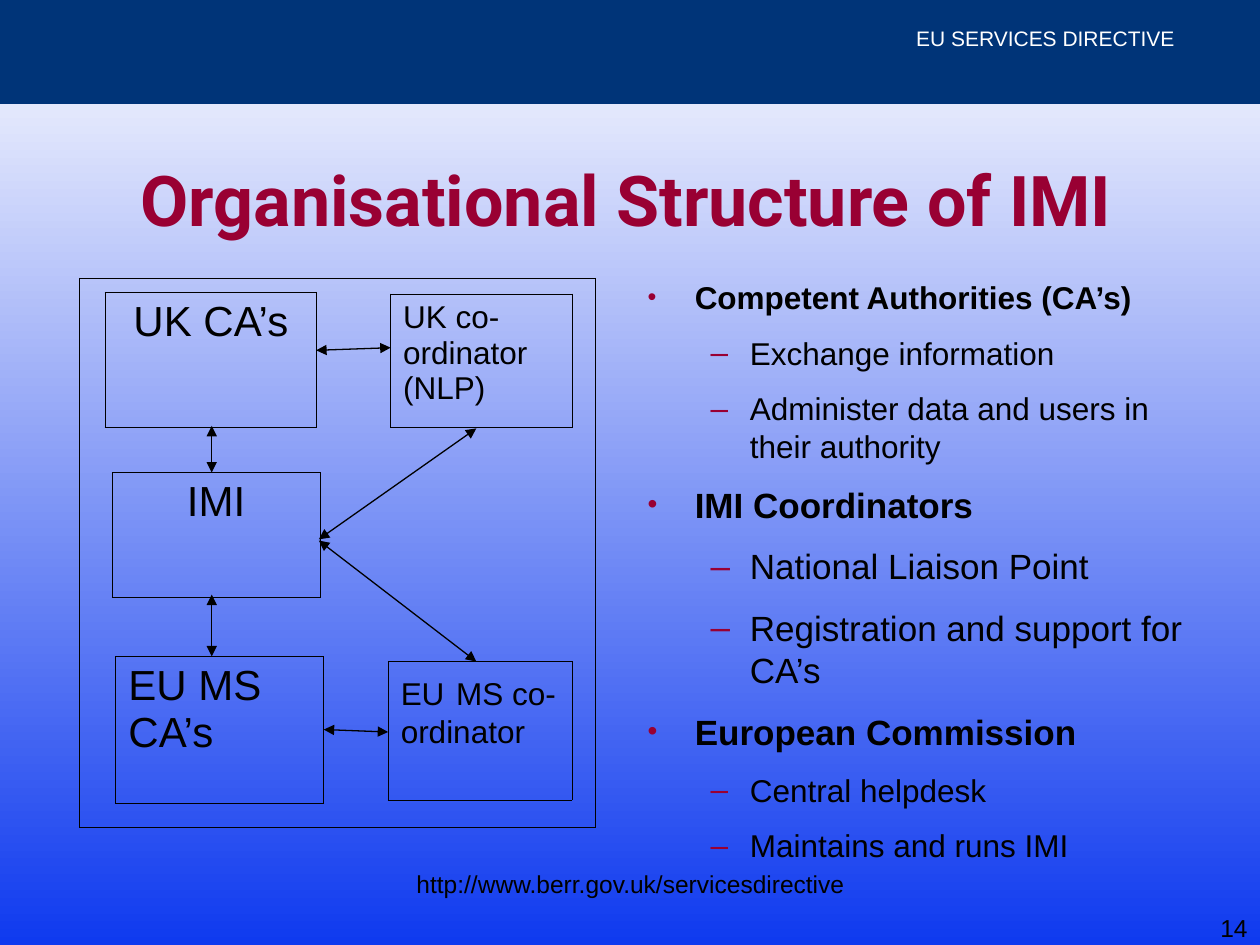
from lxml.etree import SubElement
from pptx import Presentation
from pptx.dml.color import RGBColor
from pptx.enum.shapes import MSO_CONNECTOR as LINK, MSO_SHAPE as SHAPE
from pptx.enum.text import MSO_ANCHOR as ANCHOR, PP_ALIGN as ALIGN
from pptx.oxml.ns import qn
from pptx.util import Pt

COLORS = {"navy": "003478", "red": "990033", "black": "000000",
          "white": "FFFFFF", "top": "FEFEFE", "base": "0F3AEF"}

# Each box: left, top, width, height, runs of (text, size), centred
BOXES = [
    (60, 167, 121, 77, [("UK CA’s", 24)], True),
    (64.1, 270, 118.8, 71.3, [("IMI", 24)], True),
    (66.2, 375.1, 118.8, 84.2, [("EU MS CA’s", 24)], False),
    (223.2, 168, 103.7, 76.3, [("UK co-ordinator (NLP)", 18)], False),
    (221.8, 378, 105.1, 79.2,
     [("EU", 18), (" ", 24), ("MS co-ordinator", 18)], False),
]

# Each arrow: start x, start y, end x, end y
ARROWS = [
    (272.2, 378, 182.2, 308.9),
    (182.2, 308.2, 272.2, 244.8),
    (121, 375.1, 121, 339.8),
    (121, 270, 121, 243.4),
    (223.2, 198.7, 180.7, 200.2),
    (221.8, 418.3, 185, 416.9),
]

# Each group: heading, heading size, sub-item size, sub-items
ROLES = [
    ("Competent Authorities (CA’s)", 18, 18,
     ["Exchange information", "Administer data and users in their authority"]),
    ("IMI Coordinators", 20, 20,
     ["National Liaison Point", "Registration and support for CA’s"]),
    ("European Commission", 20, 18,
     ["Central helpdesk", "Maintains and runs IMI"]),
]


def rgb(name):
    return RGBColor.from_string(COLORS[name])


def write(par, text, size=18, color="black", font="Arial", bold=False,
          align=ALIGN.LEFT):
    """Append one formatted run to a paragraph."""
    par.alignment = align
    run = par.add_run()
    run.text = text
    run.font.size = Pt(size)
    run.font.name = font
    run.font.bold = bold
    run.font.color.rgb = rgb(color)


def add_frame(slide, left, top, width, height, inset=True):
    box = slide.shapes.add_textbox(Pt(left), Pt(top), Pt(width), Pt(height))
    frame = box.text_frame
    frame.word_wrap = True
    if not inset:
        frame.margin_left = frame.margin_right = 0
        frame.margin_top = frame.margin_bottom = 0
    return frame


def add_box(slide, left, top, width, height, runs=(), center=False):
    """Add a one-cell table with a thin border and no fill."""
    table = slide.shapes.add_table(
        1, 1, Pt(left), Pt(top), Pt(width), Pt(height)).table
    table.first_row = table.horz_banding = False
    cell = table.cell(0, 0)
    props = cell._tc.get_or_add_tcPr()
    for side in ("lnL", "lnR", "lnT", "lnB"):
        line = SubElement(props, qn("a:" + side), w=str(Pt(0.45)))
        fill = SubElement(line, qn("a:solidFill"))
        SubElement(fill, qn("a:srgbClr"), val=COLORS["black"])
    cell.fill.background()
    par = cell.text_frame.paragraphs[0]
    for text, size in runs:
        write(par, text, size=size, align=ALIGN.CENTER if center else ALIGN.LEFT)


def add_arrow(slide, *ends):
    """Add a line with an arrowhead at both ends."""
    link = slide.shapes.add_connector(LINK.STRAIGHT, *map(Pt, ends))
    link.line.color.rgb = rgb("black")
    link.line.width = Pt(0.75)
    for end in ("headEnd", "tailEnd"):
        SubElement(link.line._get_or_add_ln(), qn("a:" + end), type="triangle")
    SubElement(link._element.spPr, qn("a:effectLst"))


def set_bullet(par, mark, left, hang, scale):
    props = par._p.get_or_add_pPr()
    props.set("marL", str(Pt(left)))
    props.set("indent", str(Pt(-hang)))
    color = SubElement(props, qn("a:buClr"))
    SubElement(color, qn("a:srgbClr"), val=COLORS["red"])
    SubElement(props, qn("a:buSzPct"), val=str(scale * 1000))
    SubElement(props, qn("a:buFont"), typeface="Arial")
    SubElement(props, qn("a:buChar"), char=mark)


def add_roles(slide):
    frame = add_frame(slide, 370, 159, 313.3, 343.5, inset=False)
    rows = []
    for head, big, small, items in ROLES:
        rows.append((head, big, True))
        rows += [(item, small, False) for item in items]
    for i, (text, size, head) in enumerate(rows):
        par = frame.add_paragraph() if i else frame.paragraphs[0]
        if head:
            set_bullet(par, "•", 27, 27, 80)
        else:
            par.level = 1
            set_bullet(par, "–", 58.5, 22.5, 100)
        par.space_before = Pt(size / 4 if i else 0)
        par.space_after = Pt(round(size * 0.31, 1))
        write(par, text, size=size, bold=head)


def add_title(slide, text):
    title = slide.shapes.title
    title.left, title.top = Pt(33), Pt(70.8)
    title.width, title.height = Pt(649.5), Pt(85)
    title.text_frame.vertical_anchor = ANCHOR.MIDDLE
    write(title.text_frame.paragraphs[0], text, size=40, color="red",
          font="Roboto", bold=True, align=ALIGN.CENTER)


def add_header(slide, text):
    bar = slide.shapes.add_shape(SHAPE.RECTANGLE, 0, 0, Pt(720), Pt(59.4))
    bar.shadow.inherit = False
    bar.fill.solid()
    bar.fill.fore_color.rgb = rgb("navy")
    bar.line.fill.background()
    par = add_frame(slide, 262.8, 17.3, 408.5, 11.5, inset=False).paragraphs[0]
    par.line_spacing = 0.8
    write(par, text, size=12, color="white", align=ALIGN.RIGHT)


def paint(slide):
    """Fill the background from light at the top to blue at the foot."""
    fill = slide.background.fill
    fill.gradient()
    fill.gradient_angle = 270
    for stop, name, place in zip(fill.gradient_stops, ("top", "base"), (0, 1)):
        stop.color.rgb = rgb(name)
        stop.position = place


def main():
    deck = Presentation()
    deck.slide_width, deck.slide_height = Pt(720), Pt(540)
    slide = deck.slides.add_slide(deck.slide_layouts[5])
    paint(slide)
    add_header(slide, "EU SERVICES DIRECTIVE")
    add_title(slide, "Organisational Structure of IMI")
    add_box(slide, 45.4, 159, 294.8, 314)
    add_roles(slide)
    for box in BOXES:
        add_box(slide, *box)
    for ends in ARROWS:
        add_arrow(slide, *ends)
    link = add_frame(slide, 183.6, 492.8, 353.5, 18.7).paragraphs[0]
    write(link, "http://www.berr.gov.uk/servicesdirective", size=14,
          align=ALIGN.CENTER)
    page = add_frame(slide, 666, 518.4, 54, 18.7).paragraphs[0]
    write(page, "14", size=14, align=ALIGN.RIGHT)
    deck.save("out.pptx")


if __name__ == "__main__":
    main()
